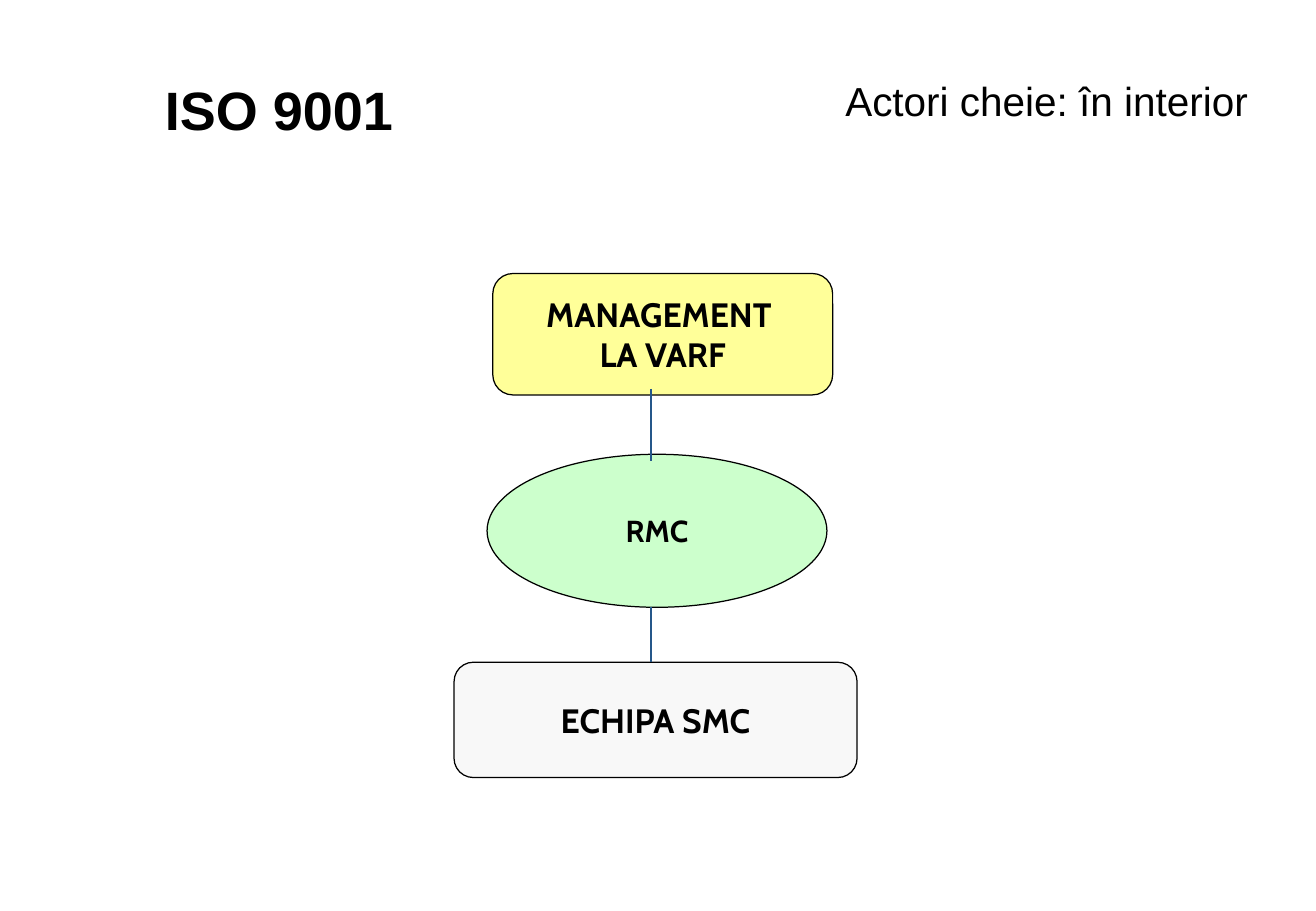
from lxml import etree
from pptx import Presentation
from pptx.dml.color import RGBColor
from pptx.enum import shapes, text
from pptx.oxml import ns
from pptx.util import Cm, Pt

BLACK = RGBColor(0x00, 0x00, 0x00)
GREEN = RGBColor(0xCC, 0xFF, 0xCC)
GREY = RGBColor(0xF8, 0xF8, 0xF8)
YELLOW = RGBColor(0xFF, 0xFF, 0x99)
BLUE = RGBColor(0x25, 0x57, 0x8A)

TITLE = "Actori cheie: în interior"
STANDARD = "ISO 9001"
OVAL = shapes.MSO_SHAPE.OVAL
ROUNDED = shapes.MSO_SHAPE.ROUNDED_RECTANGLE
ACTORS = [
    ("RMC", OVAL, GREEN, 18, (10.19, 9.5, 7.11, 3.2)),
    ("ECHIPA SMC", ROUNDED, GREY, 20, (9.5, 13.85, 8.43, 2.41)),
    ("MANAGEMENT \nLA VARF", ROUNDED, YELLOW, 20, (10.31, 5.72, 7.11, 2.54)),
]
LINK_X = 13.62
LINKS = [(8.13, 9.63), (12.7, 13.85)]


def write(tf, content, font, size, bold, align):
    """Fill a text frame and format its runs."""
    tf.text = content
    for p in tf.paragraphs:
        p.alignment = align
        for r in p.runs:
            r.font.name = font
            r.font.size = Pt(size)
            r.font.bold = bold
            r.font.color.rgb = BLACK


def add_actor(s, label, kind, fill, size, box):
    """Draw one actor of the hierarchy."""
    sp = s.shapes.add_shape(kind, *map(Cm, box))
    sp.shadow.inherit = False
    sp.fill.solid()
    sp.fill.fore_color.rgb = fill
    sp.line.color.rgb = BLACK
    sp.line.width = Pt(0.75)
    tf = sp.text_frame
    tf.word_wrap = False
    tf.vertical_anchor = text.MSO_ANCHOR.MIDDLE
    write(tf, label, "Cabin", size, True, text.PP_ALIGN.CENTER)


def add_link(s, top, bottom):
    """Draw a vertical line between two actors."""
    line = s.shapes.add_connector(
        shapes.MSO_CONNECTOR.STRAIGHT, Cm(LINK_X), Cm(top), Cm(LINK_X), Cm(bottom))
    line.line.color.rgb = BLUE
    line.line.width = Pt(0.75)
    etree.SubElement(line._element.spPr, ns.qn("a:effectLst"))


def main():
    """Build the slide and save it."""
    prs = Presentation()
    prs.slide_width, prs.slide_height = Cm(27.53), Cm(19.05)
    s = prs.slides.add_slide(prs.slide_layouts[5])

    title = s.shapes.title
    title.left, title.top, title.width, title.height = map(Cm, (16.51, 1.47, 10.77, 1.27))
    tf = title.text_frame
    tf.margin_left = tf.margin_right = tf.margin_top = tf.margin_bottom = 0
    tf.vertical_anchor = text.MSO_ANCHOR.MIDDLE
    write(tf, TITLE, "Arial", 24, False, text.PP_ALIGN.CENTER)

    for actor in ACTORS:
        add_actor(s, *actor)
    for link in LINKS:
        add_link(s, *link)

    tf = s.shapes.add_textbox(*map(Cm, (3.2, 1.47, 5.28, 1.63))).text_frame
    tf.word_wrap = False
    tf.auto_size = text.MSO_AUTO_SIZE.SHAPE_TO_FIT_TEXT
    write(tf, STANDARD, "Arial", 32, True, text.PP_ALIGN.LEFT)

    prs.save("out.pptx")


if __name__ == "__main__":
    main()
